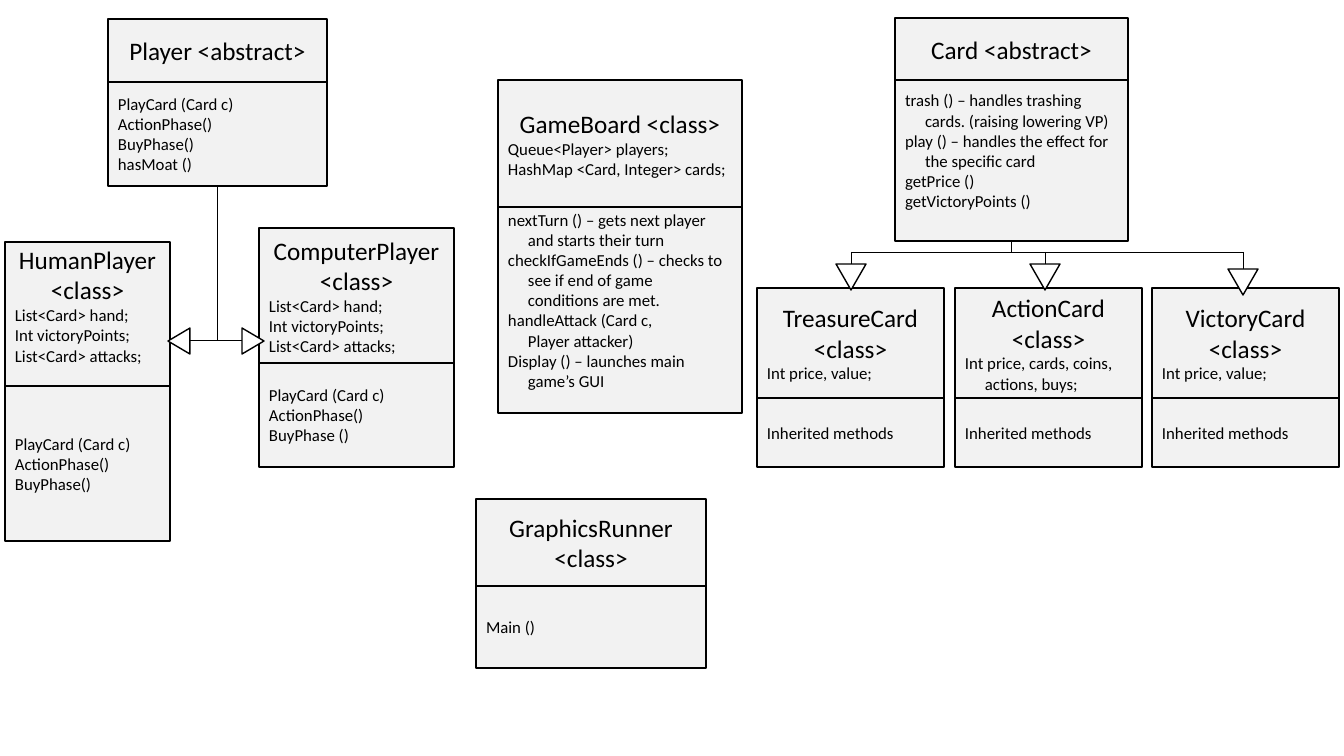
from lxml import etree
from pptx import Presentation
from pptx.dml.color import RGBColor
from pptx.enum.shapes import MSO_CONNECTOR as Connector, MSO_SHAPE as Preset
from pptx.enum.text import MSO_ANCHOR as Anchor, PP_ALIGN as Align
from pptx.oxml.ns import qn
from pptx.util import Pt

PIXEL = 9071  # EMU per pixel at 100.8 pixels to the inch
HANGING = 20  # indent of the continuation lines
INK, PANEL, PAPER = "000000", "F2F2F2", "FFFFFF"


def color(hex_string):
    """Turn a hex string into a colour."""
    return RGBColor.from_string(hex_string)


def add_outlined(preset, bounds, fill):
    """Add a filled shape with a thin dark outline; bounds are in pixels."""
    shape = page.shapes.add_shape(preset, *(length * PIXEL for length in bounds))
    shape.shadow.inherit = False
    shape.fill.solid()
    shape.fill.fore_color.rgb = color(fill)
    shape.line.color.rgb = color(INK)
    shape.line.width = Pt(1)
    return shape


deck = Presentation()
deck.slide_width, deck.slide_height = 1344 * PIXEL, 756 * PIXEL
page = deck.slides.add_slide(deck.slide_layouts[6])

hand_fields = ["List<Card> hand;", "Int victoryPoints;", "List<Card> attacks;"]
turn_methods = ["PlayCard (Card c)", "ActionPhase()"]
price_fields = ["Int price, value;"]
inherited = ["Inherited methods"]

# left, top, width, then per compartment: height, bottom inset, title, members
classes = [
    (108, 19, 219, [
        (63, 5, "Player <abstract>", []),
        (104, 5, None, turn_methods + ["BuyPhase()", "hasMoat ()"])]),
    (5, 242, 165, [
        (144, 23, "HumanPlayer <class>", hand_fields),
        (155, 5, None, turn_methods + ["BuyPhase()"])]),
    (259, 228, 195, [
        (135, 5, "ComputerPlayer <class>", hand_fields),
        (104, 5, None, turn_methods + ["BuyPhase ()"])]),
    (895, 18, 233, [
        (62, 5, "Card <abstract>", []),
        (161, 25, None, [
            "trash () – handles trashing\vcards. (raising lowering VP)",
            "play () – handles the effect for\vthe specific card",
            "getPrice ()", "getVictoryPoints ()"])]),
    (757, 288, 187, [
        (110, 5, "TreasureCard <class>", price_fields), (69, 5, None, inherited)]),
    (955, 288, 187, [
        (110, 5, "ActionCard <class>", ["Int price, cards, coins,\vactions, buys;"]),
        (69, 5, None, inherited)]),
    (1152, 288, 187, [
        (110, 5, "VictoryCard <class>", price_fields), (69, 5, None, inherited)]),
    (498, 80, 244, [
        (127, 5, "GameBoard <class>",
         ["Queue<Player> players;", "HashMap <Card, Integer> cards;"]),
        (206, 25, None, [
            "nextTurn () – gets next player\vand starts their turn",
            "checkIfGameEnds () – checks to\vsee if end of game\vconditions are met.",
            "handleAttack (Card c,\vPlayer attacker)",
            "Display () – launches main\vgame’s GUI"])]),
    (476, 499, 230, [
        (87, 5, "GraphicsRunner <class>", []), (82, 5, None, ["Main ()"])]),
]

for left, top, width, compartments in classes:
    for height, bottom_inset, title, members in compartments:
        box = add_outlined(Preset.RECTANGLE, (left, top, width, height), PANEL)
        top += height
        frame = box.text_frame
        frame.word_wrap = True
        frame.vertical_anchor = Anchor.MIDDLE
        frame.margin_left = frame.margin_right = 10 * PIXEL
        frame.margin_top, frame.margin_bottom = 5 * PIXEL, bottom_inset * PIXEL
        lines = ([title] if title else []) + members
        for number, line in enumerate(lines):
            para = frame.paragraphs[0] if number == 0 else frame.add_paragraph()
            para.text = line
            is_title = line == title
            para.alignment = Align.CENTER if is_title else Align.LEFT
            para.font.size = Pt(18 if is_title else 12)
            para.font.name = "Calibri"
            para.font.color.rgb = color(INK)
            if "\v" in line:
                properties = para._p.get_or_add_pPr()
                properties.set("marL", str(HANGING * PIXEL))
                properties.set("indent", str(-HANGING * PIXEL))

# Inheritance lines: a stem, a crossbar and, for the cards, three drops
inheritance_lines = [
    (217, 186, 217, 340), (190, 340, 242, 340),
    (1011, 241, 1011, 252), (851, 252, 1243, 252),
    (851, 252, 851, 264), (1045, 252, 1045, 264), (1243, 252, 1243, 269),
]
for ends in inheritance_lines:
    link = page.shapes.add_connector(
        Connector.STRAIGHT, *(length * PIXEL for length in ends))
    link.line.color.rgb = color(INK)
    link.line.width = Pt(0.5)
    etree.SubElement(link._element.spPr, qn("a:effectLst"))

arrowheads = [
    (166, 330, 26, 22, 270), (240, 330, 26, 22, 90),
    (836, 264, 30, 26, 180), (1030, 264, 30, 26, 180), (1228, 269, 30, 26, 180),
]
for *bounds, rotation in arrowheads:
    arrowhead = add_outlined(Preset.ISOSCELES_TRIANGLE, bounds, PAPER)
    arrowhead.rotation = rotation

deck.save("out.pptx")
